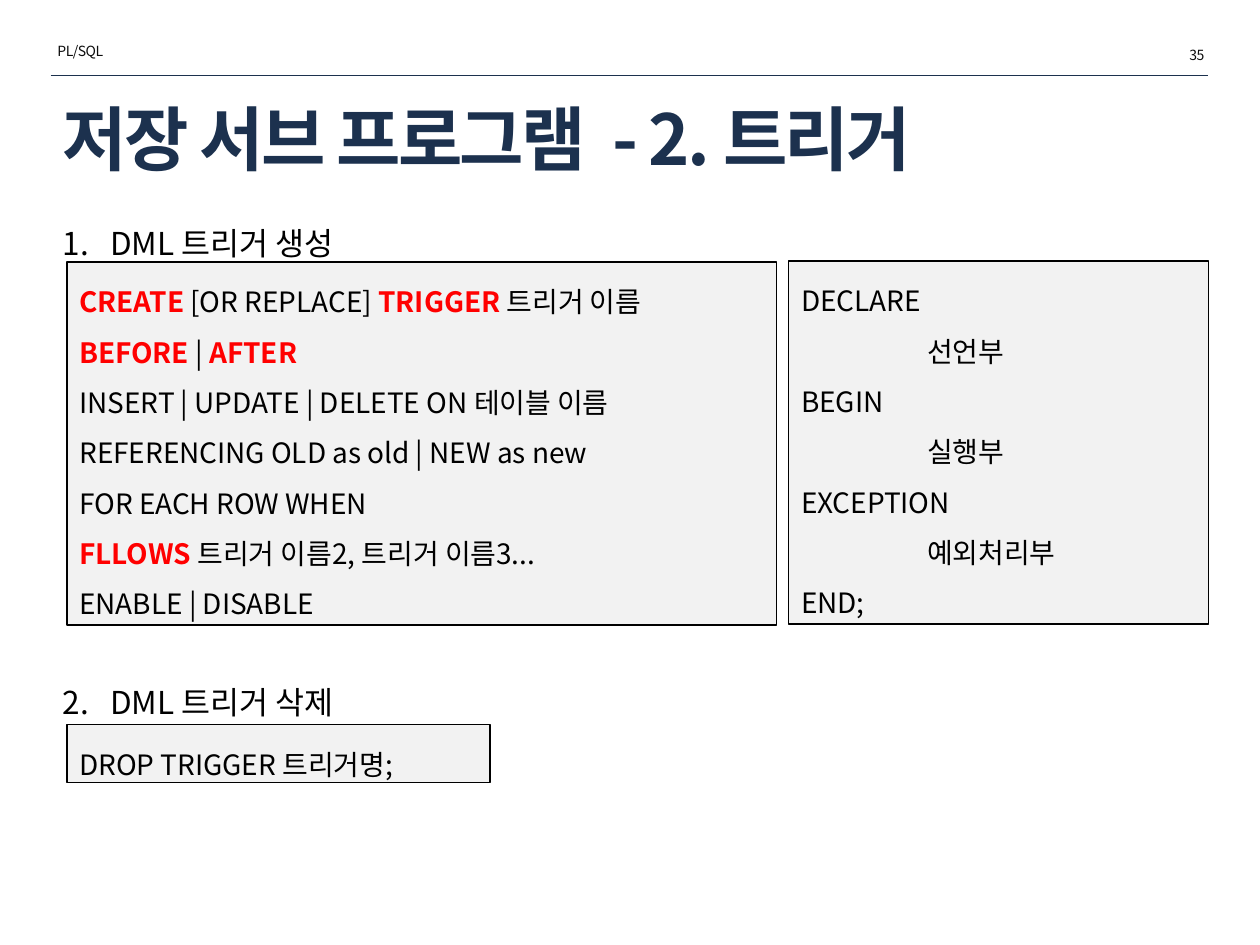
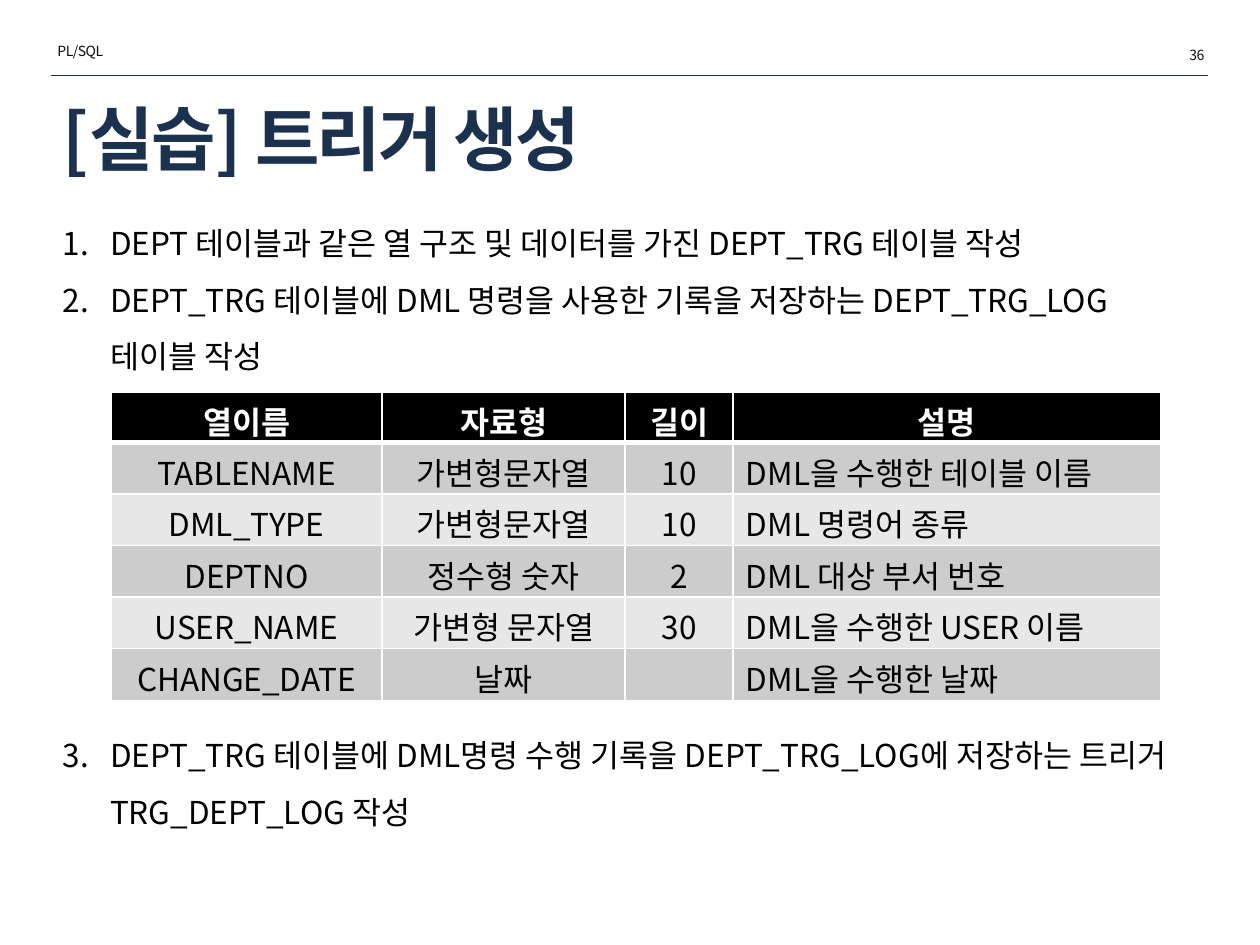
from dataclasses import dataclass

from lxml import etree
from pptx import Presentation
from pptx.dml.color import RGBColor
from pptx.enum import shapes, text
from pptx.oxml.ns import qn
from pptx.util import Cm, Pt


@dataclass(frozen=True)
class Theme:
    font: str = "Noto Sans CJK KR"
    navy: str = "1C314E"
    black: str = "000000"
    white: str = "FFFFFF"
    header_gray: str = "0D0D0D"
    keyword_red: str = "FF0000"
    code_fill: str = "F2F2F2"
    row_fills: tuple = ("E7E7E7", "CCCCCC")
    title_size: int = 40
    body_size: int = 18
    code_size: int = 16
    header_size: int = 8
    line_spacing: float = 1.5
    left: float = 1.02
    width: float = 23.34


THEME = Theme()

TRIGGER_SYNTAX = [  # words between asterisks are highlighted keywords
    "*CREATE* [OR REPLACE] *TRIGGER *트리거 이름",
    "*BEFORE* | *AFTER*",
    "INSERT | UPDATE | DELETE ON 테이블 이름",
    "REFERENCING OLD as old | NEW as new",
    "FOR EACH ROW WHEN",
    "*FLLOWS *트리거 이름2, 트리거 이름3...",
    "ENABLE | DISABLE",
]
BLOCK_SYNTAX = ["DECLARE", "\t선언부", "BEGIN", "\t실행부",
                "EXCEPTION", "\t예외처리부", "END;"]
LOG_COLUMNS = [
    ("열이름", "자료형", "길이", "설명"),
    ("TABLENAME", "가변형문자열", "10", "DML을 수행한 테이블 이름"),
    ("DML_TYPE", "가변형문자열", "10", "DML 명령어 종류"),
    ("DEPTNO", "정수형 숫자", "2", "DML 대상 부서 번호"),
    ("USER_NAME", "가변형 문자열", "30", "DML을 수행한 USER 이름"),
    ("CHANGE_DATE", "날짜", "", "DML을 수행한 날짜"),
]


def rgb(color):
    return RGBColor.from_string(color)


# Text helpers
def style_paragraph(para, size, color, bold=False, spacing=0):
    font = para.font
    font.size, font.bold, font.name = Pt(size), bold, THEME.font
    font.color.rgb = rgb(color)
    properties = font._element
    etree.SubElement(properties, qn("a:ea"), typeface=THEME.font)
    if spacing:
        properties.set("spc", str(round(spacing * 100)))


def set_indent(para, left, first=0):
    properties = para._p.get_or_add_pPr()
    properties.set("marL", str(Cm(left)))
    properties.set("indent", str(Cm(first)))
    return properties


def number_paragraph(para, start):
    properties = set_indent(para, 0.95, -0.95)
    bullet = etree.Element(qn("a:buAutoNum"), type="arabicPeriod", startAt=str(start))
    properties.find(qn("a:defRPr")).addprevious(bullet)


def add_label(page, words, place, size, color, bold=False, spacing=0,
              align=text.PP_ALIGN.LEFT, anchor=text.MSO_ANCHOR.TOP):
    box = page.shapes.add_textbox(*map(Cm, place))
    frame = box.text_frame
    frame.word_wrap, frame.vertical_anchor = True, anchor
    para = frame.paragraphs[0]
    para.text, para.alignment = words, align
    style_paragraph(para, size, color, bold, spacing)


def add_numbered_list(page, items, top, start=1):
    box = page.shapes.add_textbox(Cm(THEME.left), Cm(top), Cm(THEME.width), Cm(1.27))
    frame = box.text_frame
    frame.word_wrap = True
    for index, item in enumerate(items):
        para = frame.add_paragraph() if index else frame.paragraphs[0]
        para.text, para.line_spacing = item, THEME.line_spacing
        style_paragraph(para, THEME.body_size, THEME.black)
        number_paragraph(para, start)


# Framed code
def add_code_box(page, lines, place):
    box = page.shapes.add_shape(shapes.MSO_SHAPE.RECTANGLE, *map(Cm, place))
    box.shadow.inherit = False
    box.fill.solid()
    box.fill.fore_color.rgb = rgb(THEME.code_fill)
    box.line.color.rgb = rgb(THEME.black)
    box.line.width = Pt(0.75)
    frame = box.text_frame
    frame.word_wrap, frame.vertical_anchor = True, text.MSO_ANCHOR.TOP
    for index, line in enumerate(lines):
        para = frame.add_paragraph() if index else frame.paragraphs[0]
        para.alignment, para.line_spacing = text.PP_ALIGN.LEFT, THEME.line_spacing
        style_paragraph(para, THEME.code_size, THEME.black)
        if line.startswith("\t"):
            set_indent(para, 2.54)
        for position, words in enumerate(line.strip().split("*")):
            if not words:
                continue
            span = para.add_run()
            span.text = words
            if position % 2:
                span.font.bold = True
                span.font.color.rgb = rgb(THEME.keyword_red)


# Table
def set_cell_borders(cell, top, bottom):
    properties = cell._tc.get_or_add_tcPr()
    widths = {"lnL": 1, "lnR": 1, "lnT": top, "lnB": bottom}
    for index, (side, width) in enumerate(widths.items()):
        border = etree.Element(qn(f"a:{side}"), w=str(Pt(width)))
        fill = etree.SubElement(border, qn("a:solidFill"))
        etree.SubElement(fill, qn("a:srgbClr"), val=THEME.white)
        properties.insert(index, border)


def add_log_table(page, rows, left, top, widths, header_height, row_height):
    heights = [header_height] + [row_height] * (len(rows) - 1)
    table = page.shapes.add_table(len(rows), len(widths), Cm(left), Cm(top),
                                  Cm(sum(widths)), Cm(sum(heights))).table
    for column, width in zip(table.columns, widths):
        column.width = Cm(width)
    for row, height in zip(table.rows, heights):
        row.height = Cm(height)
    for r, values in enumerate(rows):
        header = r == 0
        for c, value in enumerate(values):
            cell = table.cell(r, c)
            cell.fill.solid()
            cell.fill.fore_color.rgb = rgb(THEME.black if header else THEME.row_fills[r % 2])
            set_cell_borders(cell, top=3 if r == 1 else 1, bottom=3 if header else 1)
            para = cell.text_frame.paragraphs[0]
            para.text = value
            centred = header or c < len(widths) - 1
            para.alignment = text.PP_ALIGN.CENTER if centred else text.PP_ALIGN.LEFT
            style_paragraph(para, THEME.body_size,
                            THEME.white if header else THEME.black, bold=header)


# Shared page frame
def add_page(deck, title, number):
    page = deck.slides.add_slide(deck.slide_layouts[6])
    add_label(page, "PL/SQL", (0.91, 0.74, 4.39, 0.61),
              THEME.header_size, THEME.header_gray, spacing=-0.3)
    rule = page.shapes.add_connector(shapes.MSO_CONNECTOR.STRAIGHT, Cm(THEME.left), Cm(1.52),
                                     Cm(THEME.left + THEME.width), Cm(1.52))
    rule.line.color.rgb = rgb(THEME.navy)
    rule.line.width = Pt(0.25)
    etree.SubElement(rule._element.spPr, qn("a:effectLst"))
    add_label(page, title, (THEME.left, 1.96, THEME.width, 1.63), THEME.title_size,
              THEME.navy, bold=True, spacing=-1.5, anchor=text.MSO_ANCHOR.MIDDLE)
    add_label(page, str(number), (20.14, 0.81, 4.39, 0.61), THEME.header_size,
              THEME.header_gray, spacing=-0.3, align=text.PP_ALIGN.RIGHT)
    return page


def main():
    deck = Presentation()
    deck.slide_width, deck.slide_height = Cm(25.4), Cm(19.05)

    # Trigger syntax
    page = add_page(deck, "저장 서브 프로그램  - 2. 트리거", 35)
    add_numbered_list(page, ["DML 트리거 생성"], top=4.01)
    add_code_box(page, TRIGGER_SYNTAX, (1.35, 5.28, 14.3, 7.32))
    add_code_box(page, BLOCK_SYNTAX, (15.9, 5.26, 8.46, 7.32))
    add_numbered_list(page, ["DML 트리거 삭제"], top=13.26, start=2)
    add_code_box(page, ["DROP TRIGGER 트리거명;"], (1.35, 14.6, 8.53, 1.17))

    # Trigger exercise
    page = add_page(deck, "[실습] 트리거 생성", 36)
    add_numbered_list(page, [
        "DEPT 테이블과 같은 열 구조 및 데이터를 가진 DEPT_TRG 테이블 작성",
        "DEPT_TRG 테이블에 DML 명령을 사용한 기록을 저장하는 DEPT_TRG_LOG 테이블 작성",
    ], top=4.01)
    add_log_table(page, LOG_COLUMNS, left=2.24, top=7.9, widths=(5.46, 4.9, 2.18, 8.61),
                  header_height=0.97, row_height=1.04)
    add_numbered_list(page, [
        "DEPT_TRG 테이블에 DML명령 수행 기록을 DEPT_TRG_LOG에 저장하는 트리거 TRG_DEPT_LOG 작성",
    ], top=14.33, start=3)

    deck.save("out.pptx")


if __name__ == "__main__":
    main()
